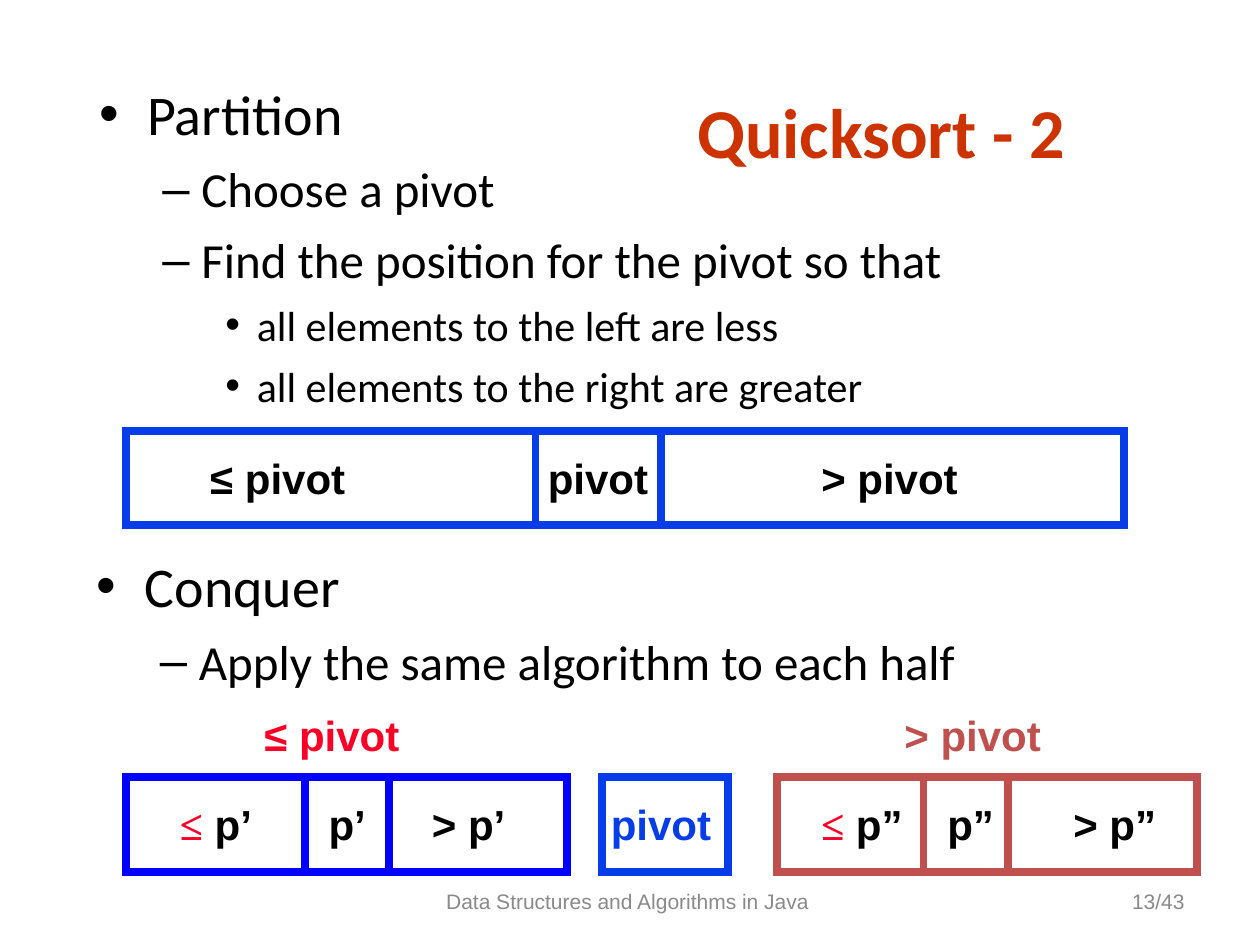
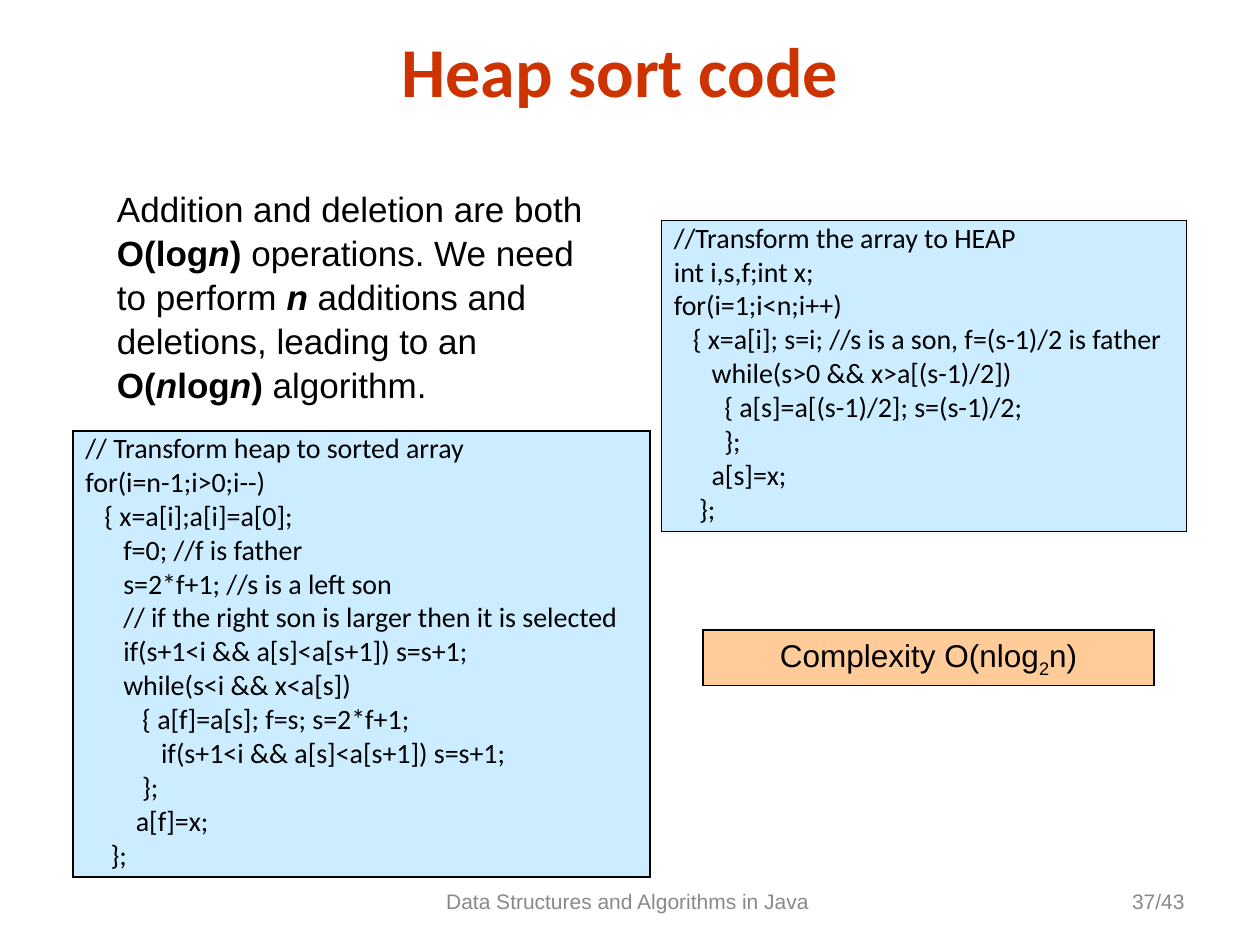
from dataclasses import dataclass

from lxml import etree
from pptx import Presentation
from pptx.dml.color import RGBColor
from pptx.enum.shapes import MSO_SHAPE as Preset
from pptx.enum.text import MSO_ANCHOR as Anchor, MSO_AUTO_SIZE as AutoSize, PP_ALIGN as Align
from pptx.oxml.ns import qn
from pptx.util import Inches, Pt

# Shared style
COLORS = {
    "text": "000000",
    "title": "CC3300",
    "footer": "898989",
    "pivot": "063DE8",
    "left": "0000FF",
    "right": "C0504D",
    "accent": "FC0128",
    "code": "CCECFF",
    "complexity": "FFCC99",
}
SANS, BODY, SERIF = "Arial", "Calibri", "Times New Roman"
TITLE_ONLY = 5
PAGES = 43
FOOTER = "Data Structures and Algorithms in Java "
CELL_HEIGHT = 0.75
LABEL_DROP = 0.12
LABEL_WIDTH = 1.5  # roomy enough for the longest label on one line
CODE_SPACE = 0.05  # width of one leading space in the code


@dataclass(frozen=True)
class BulletLevel:
    mark: str
    size: int
    margin: float
    hang: float
    before: int


@dataclass(frozen=True)
class Cell:
    left: float
    top: float
    width: float
    color: str


@dataclass(frozen=True)
class Label:
    text: str
    left: float
    top: float
    color: str = "text"
    sign: str = ""  # red serif sign ahead of the text


LEVELS = (
    BulletLevel("•", 32, 0.38, 0.38, 8),
    BulletLevel("–", 28, 0.81, 0.31, 7),
    BulletLevel("•", 24, 1.25, 0.25, 6),
)


# Text helpers
def rgb(name: str) -> RGBColor:
    return RGBColor.from_string(COLORS[name])


def add_run(paragraph, text: str, *, size: float, font: str = SANS, color: str = "text",
            bold: bool = False, italic: bool = False, baseline: int = 0) -> None:
    run = paragraph.add_run()
    run.text = text
    run.font.size, run.font.name = Pt(size), font
    run.font.bold, run.font.italic = bold, italic
    run.font.color.rgb = rgb(color)
    if baseline:
        run.font._element.set("baseline", str(baseline * 1000))


def set_indent(paragraph, margin: float, hang: float = 0) -> None:
    properties = paragraph._p.get_or_add_pPr()
    properties.set("marL", str(Inches(margin)))
    properties.set("indent", str(-Inches(hang)))


def next_paragraph(frame, index: int):
    return frame.paragraphs[0] if index == 0 else frame.add_paragraph()


def add_frame(slide, left: float, top: float, width: float, height: float,
              wrap: bool = True, anchor=Anchor.TOP):
    box = slide.shapes.add_textbox(Inches(left), Inches(top), Inches(width), Inches(height))
    frame = box.text_frame
    frame.word_wrap, frame.vertical_anchor = wrap, anchor
    return frame


def add_rect(slide, left: float, top: float, width: float, height: float, *,
             line: str, weight: float, fill: str = ""):
    rect = slide.shapes.add_shape(
        Preset.RECTANGLE, Inches(left), Inches(top), Inches(width), Inches(height))
    rect.shadow.inherit = False
    rect.line.color.rgb, rect.line.width = rgb(line), Pt(weight)
    # Square corners
    outline = rect._element.spPr.find(qn("a:ln"))
    etree.SubElement(outline, qn("a:miter")).set("lim", "800000")
    if fill:
        rect.fill.solid()
        rect.fill.fore_color.rgb = rgb(fill)
    else:
        rect.fill.background()
    return rect


# Slide parts
def add_slide(deck, title: str, page: int, left: float, top: float, width: float):
    slide = deck.slides.add_slide(deck.slide_layouts[TITLE_ONLY])
    heading = slide.shapes.title
    heading.left, heading.top = Inches(left), Inches(top)
    heading.width, heading.height = Inches(width), Inches(0.77)
    frame = heading.text_frame
    frame.auto_size, frame.vertical_anchor = AutoSize.NONE, Anchor.MIDDLE
    frame.paragraphs[0].alignment = Align.CENTER
    add_run(frame.paragraphs[0], title, size=40, font=BODY, color="title", bold=True)

    for text, x, span, align in ((FOOTER, 3.17, 3.67, Align.CENTER),
                                 (f"{page}/{PAGES}", 7.17, 2.33, Align.RIGHT)):
        line = add_frame(slide, x, 6.95, span, 0.4, anchor=Anchor.MIDDLE).paragraphs[0]
        line.alignment = align
        add_run(line, text, size=12, color="footer")
    return slide


def add_bullets(slide, left: float, top: float, height: float,
                items: list[tuple[int, str]]) -> None:
    frame = add_frame(slide, left, top, 8.58, height)
    for index, (depth, text) in enumerate(items):
        level = LEVELS[depth]
        paragraph = next_paragraph(frame, index)
        paragraph.space_before = Pt(level.before)
        set_indent(paragraph, level.margin, level.hang)
        properties = paragraph._p.get_or_add_pPr()
        etree.SubElement(properties, qn("a:buFont")).set("typeface", SANS)
        etree.SubElement(properties, qn("a:buChar")).set("char", level.mark)
        add_run(paragraph, text, size=level.size, font=BODY)


def add_cell(slide, cell: Cell) -> None:
    add_rect(slide, cell.left, cell.top, cell.width, CELL_HEIGHT, line=cell.color, weight=4.5)


def add_label(slide, label: Label) -> None:
    frame = add_frame(slide, label.left, label.top, LABEL_WIDTH, 0.5, wrap=False)
    paragraph = frame.paragraphs[0]
    if label.sign:
        add_run(paragraph, label.sign, size=24, font=SERIF, color="accent", bold=True)
    add_run(paragraph, label.text, size=24, color=label.color, bold=True)


def add_code(slide, left: float, top: float, width: float, height: float,
             lines: list[tuple[int, str]]) -> None:
    panel = add_rect(slide, left, top, width, height, line="text", weight=0.75, fill="code")
    frame = panel.text_frame
    frame.word_wrap, frame.vertical_anchor = True, Anchor.TOP
    for index, (spaces, text) in enumerate(lines):
        paragraph = next_paragraph(frame, index)
        paragraph.alignment = Align.LEFT
        paragraph.line_spacing, paragraph.space_before = 0.8, Pt(4)
        set_indent(paragraph, spaces * CODE_SPACE)
        add_run(paragraph, text, size=16, font=BODY)


# Slides
def build_quicksort(deck) -> None:
    slide = add_slide(deck, "Quicksort - 2", 13, 4.83, 0.65, 4.33)
    add_bullets(slide, 0.69, 0.58, 2.73, [
        (0, "Partition"),
        (1, "Choose a pivot"),
        (1, "Find the position for the pivot so that"),
        (2, "all elements to the left are less"),
        (2, "all elements to the right are greater"),
    ])
    add_bullets(slide, 0.67, 4.33, 1.19, [
        (0, "Conquer"),
        (1, "Apply the same algorithm to each half"),
    ])

    partition, halves = 3.42, 6.17
    for cell in (
        Cell(1, partition, 7.92, "pivot"),
        Cell(4.25, partition, 1, "pivot"),
        Cell(1, halves, 3.5, "left"),
        Cell(2.42, halves, 0.67, "left"),
        Cell(4.78, halves, 1, "pivot"),
        Cell(6.17, halves, 3.33, "right"),
        Cell(7.33, halves, 0.67, "right"),
    ):
        add_cell(slide, cell)

    partition_text, halves_text, captions = partition + LABEL_DROP, halves + LABEL_DROP, 5.58
    for label in (
        Label("≤ pivot", 1.57, partition_text),
        Label("pivot", 4.25, partition_text),
        Label("> pivot", 6.42, partition_text),
        Label("≤ pivot", 2, captions, "accent"),
        Label("> pivot", 7.08, captions, "right"),
        Label(" p’", 1.33, halves_text, sign="≤"),
        Label("p’", 2.51, halves_text),
        Label("> p’", 3.33, halves_text),
        Label("pivot", 4.75, halves_text, "pivot"),
        Label(" p”", 6.42, halves_text, sign="≤"),
        Label("p”", 7.42, halves_text),
        Label("> p”", 8.42, halves_text),
    ):
        add_label(slide, label)


def build_heap_sort(deck) -> None:
    slide = add_slide(deck, "Heap sort code", 37, 0.67, 0.17, 8.5)

    # Cost of the operations
    cost = add_frame(slide, 0.83, 1.42, 4.08, 1.85).paragraphs[0]
    cost.line_spacing = 1.05
    plain, bold, variable = {}, {"bold": True}, {"bold": True, "italic": True}
    for text, style in (
        ("Addition and deletion are both ", plain),
        ("O(log", bold), ("n", variable), (")", bold),
        (" operations. We need to perform ", plain),
        ("n", variable),
        (" additions and deletions, leading to an ", plain),
        ("O(", bold), ("n", variable), ("log", bold), ("n", variable), (")", bold),
        (" algorithm.", plain),
    ):
        add_run(cost, text, size=20, **style)

    # Code, each line with its depth in spaces
    add_code(slide, 5.25, 1.75, 4.17, 2.47, [
        (0, "//Transform the array to HEAP"),
        (0, "int i,s,f;int x;"),
        (0, "for(i=1;i<n;i++)"),
        (3, "{ x=a[i]; s=i; //s is a son, f=(s-1)/2 is father"),
        (6, "while(s>0 && x>a[(s-1)/2])"),
        (8, "{ a[s]=a[(s-1)/2]; s=(s-1)/2;"),
        (8, "};"),
        (6, "a[s]=x;"),
        (4, "};"),
    ])
    add_code(slide, 0.58, 3.42, 4.58, 3.54, [
        (0, "// Transform heap to sorted array"),
        (0, "for(i=n-1;i>0;i--)"),
        (3, "{ x=a[i];a[i]=a[0];"),
        (6, "f=0; //f is father"),
        (6, "s=2*f+1; //s is a left son"),
        (6, "// if the right son is larger then it is selected"),
        (6, "if(s+1<i && a[s]<a[s+1]) s=s+1;"),
        (6, "while(s<i && x<a[s])"),
        (9, "{ a[f]=a[s]; f=s; s=2*f+1;"),
        (12, "if(s+1<i && a[s]<a[s+1]) s=s+1;"),
        (9, "};"),
        (8, "a[f]=x;"),
        (4, "};"),
    ])

    # Complexity
    complexity = add_rect(slide, 5.58, 5, 3.58, 0.44, line="text", weight=0.75,
                          fill="complexity").text_frame.paragraphs[0]
    complexity.alignment = Align.CENTER
    for text, baseline in (("Complexity O(nlog", 0), ("2", -25), ("n)", 0)):
        add_run(complexity, text, size=18, baseline=baseline)


def main() -> None:
    deck = Presentation()
    deck.slide_width, deck.slide_height = Inches(10), Inches(7.5)
    build_quicksort(deck)
    build_heap_sort(deck)
    deck.save("out.pptx")


if __name__ == "__main__":
    main()
